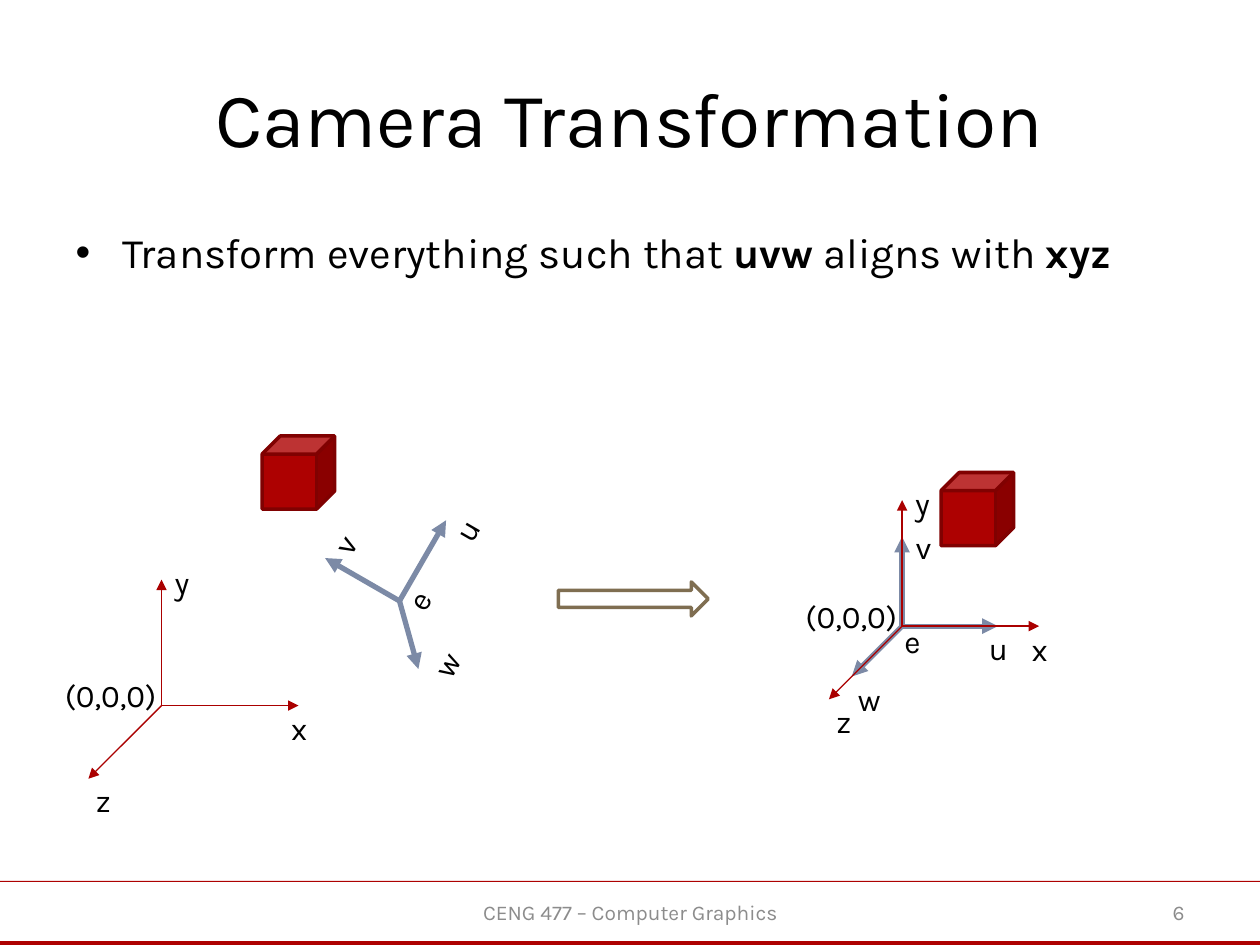
"""Build the camera transformation slide."""
from dataclasses import dataclass

from lxml import etree
from pptx import Presentation
from pptx.dml.color import RGBColor
from pptx.enum import shapes as es, text as et
from pptx.oxml import ns
from pptx.util import Pt

HUES = {"bar": "AD0101", "edge": "800101", "axis": "AA0000", "cam": "7C8AA6",
        "arrow": "7F6E51", "ink": "000000", "foot": "8C8C8C"}
FONT = "Karla"
KIND = es.MSO_AUTO_SHAPE_TYPE
ALIGN = et.PP_ALIGN
Point = tuple[float, float]


@dataclass
class Label:
    word: str
    dx: float
    dy: float
    wide: float
    high: float


@dataclass
class Frame:
    tips: list[Point]
    labels: list[Label]
    hue: str
    weight: float
    turn: float = 0


def hue(name: str) -> RGBColor:
    """Look up a colour."""
    return RGBColor.from_string(HUES[name])


def place(shape, x: float, y: float, wide: float, high: float) -> None:
    """Move and size a shape."""
    shape.left, shape.top, shape.width, shape.height = Pt(x), Pt(y), Pt(wide), Pt(high)


def write(para, word: str, size: float, ink: str = "ink", bold: bool = False) -> None:
    """Add one run to a paragraph."""
    run = para.add_run()
    run.text = word
    font = run.font
    font.name, font.size, font.bold = FONT, Pt(size), bold
    font.color.rgb = hue(ink)


def block(slide, kind, x: float, y: float, wide: float, high: float,
          fill: str = "", edge: str = "") -> None:
    """Draw a preset shape."""
    shape = slide.shapes.add_shape(kind, Pt(x), Pt(y), Pt(wide), Pt(high))
    shape.shadow.inherit = False
    if fill:
        shape.fill.solid()
        shape.fill.fore_color.rgb = hue(fill)
    else:
        shape.fill.background()
    if edge:
        shape.line.color.rgb = hue(edge)
        shape.line.width = Pt(2)
    else:
        shape.line.fill.background()


def cube(slide, x: float, y: float) -> None:
    """Draw the red cube."""
    block(slide, KIND.CUBE, x, y, 41.4, 41.8, "bar", "edge")


def arrow(slide, start: Point, tip: Point, ink: str, weight: float) -> None:
    """Draw an arrow from a start by an offset."""
    x, y = start
    line = slide.shapes.add_connector(es.MSO_CONNECTOR.STRAIGHT, Pt(x), Pt(y),
                                      Pt(x + tip[0]), Pt(y + tip[1]))
    line.line.color.rgb = hue(ink)
    line.line.width = Pt(weight)
    props = line._element.spPr
    etree.SubElement(props.find(ns.qn("a:ln")), ns.qn("a:tailEnd"), type="triangle")
    etree.SubElement(props, ns.qn("a:effectLst"))


def tag(slide, start: Point, label: Label, turn: float) -> None:
    """Put a label beside a frame's centre."""
    box = slide.shapes.add_textbox(Pt(start[0] + label.dx), Pt(start[1] + label.dy),
                                   Pt(label.wide), Pt(label.high))
    box.rotation = turn
    body = box.text_frame
    body.word_wrap = False
    body.auto_size = et.MSO_AUTO_SIZE.SHAPE_TO_FIT_TEXT
    write(body.paragraphs[0], label.word, 18)


def draw(slide, frame: Frame, start: Point) -> None:
    """Draw a set of three arrows with labels."""
    for tip in frame.tips:
        arrow(slide, start, tip, frame.hue, frame.weight)
    for label in frame.labels:
        tag(slide, start, label, frame.turn)


def foot(slide, word: str, x: float, wide: float, align) -> None:
    """Write a footer field."""
    box = slide.shapes.add_textbox(Pt(x), Pt(506.9), Pt(wide), Pt(28.8))
    body = box.text_frame
    body.word_wrap = True
    body.vertical_anchor = et.MSO_ANCHOR.MIDDLE
    para = body.paragraphs[0]
    para.alignment = align
    write(para, word, 12, "foot")


WORLD = Frame(
    [(78.3, 0), (0, -72), (-41.8, 41.8)],
    [Label("x", 67, -1.4, 23.8, 28.8), Label("y", 0.4, -85, 23.8, 28.8),
     Label("z", -44.6, 39.6, 23.8, 28.8), Label("(0,0,0)", -62.3, -20.2, 67, 28.8)],
    "axis", 0.75)
TILTED = Frame(
    [(26.6, -46.1), (-42.5, -24.5), (10.8, 38.9)],
    [Label("u", 23.8, -49, 16.6, 19.4), Label("v", -45.4, -41, 15.8, 19.4),
     Label("w", 11.5, 28.1, 18.7, 19.4), Label("e", -2.9, -9.4, 16.6, 19.4)],
    "cam", 3, 300)
LEVEL = Frame(
    [(54.7, 0), (0, -51.1), (-28.8, 28.8)],
    [Label("u", 42.5, -2.2, 17.3, 20.2), Label("v", 0.7, -59.8, 16.6, 20.2),
     Label("w", -32.4, 27.4, 19.4, 20.2), Label("e", -5.8, -5.8, 17.3, 20.2)],
    "cam", 3)


def main() -> None:
    """Build and save the slide."""
    deck = Presentation()
    deck.slide_width, deck.slide_height = Pt(720), Pt(540)
    slide = deck.slides.add_slide(deck.slide_layouts[1])
    for y, high in ((503.3, 0.72), (537.8, 2.2)):
        block(slide, KIND.RECTANGLE, 0, y, 720, high, "bar")

    title, body = slide.placeholders
    place(title, 36, 21.6, 648, 90)
    title.text_frame.vertical_anchor = et.MSO_ANCHOR.MIDDLE
    head = title.text_frame.paragraphs[0]
    head.alignment = ALIGN.CENTER
    write(head, "Camera Transformation", 44)
    place(body, 36, 126, 648, 356.4)
    para = body.text_frame.paragraphs[0]
    for word, bold in (("Transform everything such that ", False), ("uvw", True),
                       (" aligns with ", False), ("xyz", True)):
        write(para, word, 24, bold=bold)

    foot(slide, "CENG 477 – Computer Graphics", 246.2, 228.2, ALIGN.CENTER)
    foot(slide, "6", 516.2, 167.8, ALIGN.RIGHT)

    home = (515.5, 357.8)
    draw(slide, WORLD, (92.3, 403.2))
    cube(slide, 149.8, 249.1)
    draw(slide, LEVEL, home)
    draw(slide, WORLD, home)
    cube(slide, 537.8, 270)
    draw(slide, TILTED, (228.3, 343.4))
    block(slide, KIND.RIGHT_ARROW, 319, 332.6, 85.7, 19.4, edge="arrow")
    deck.save("out.pptx")


if __name__ == "__main__":
    main()
